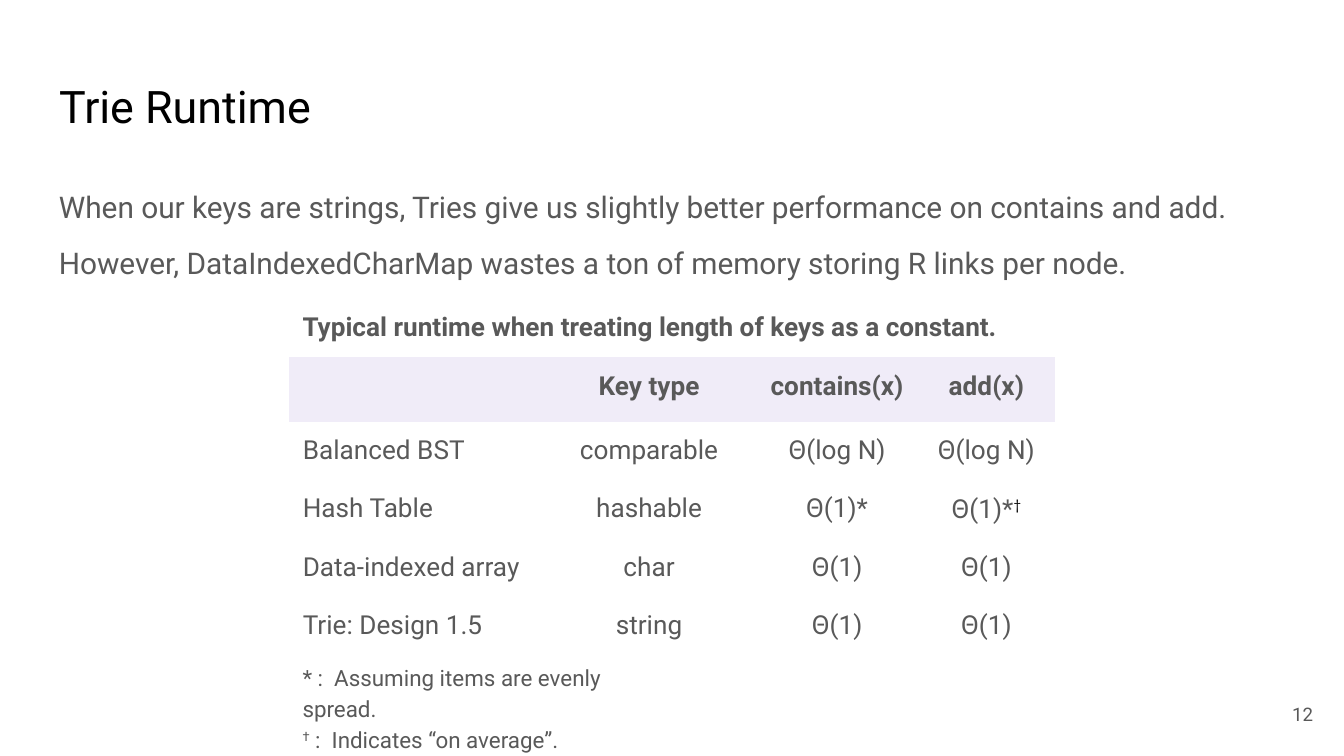
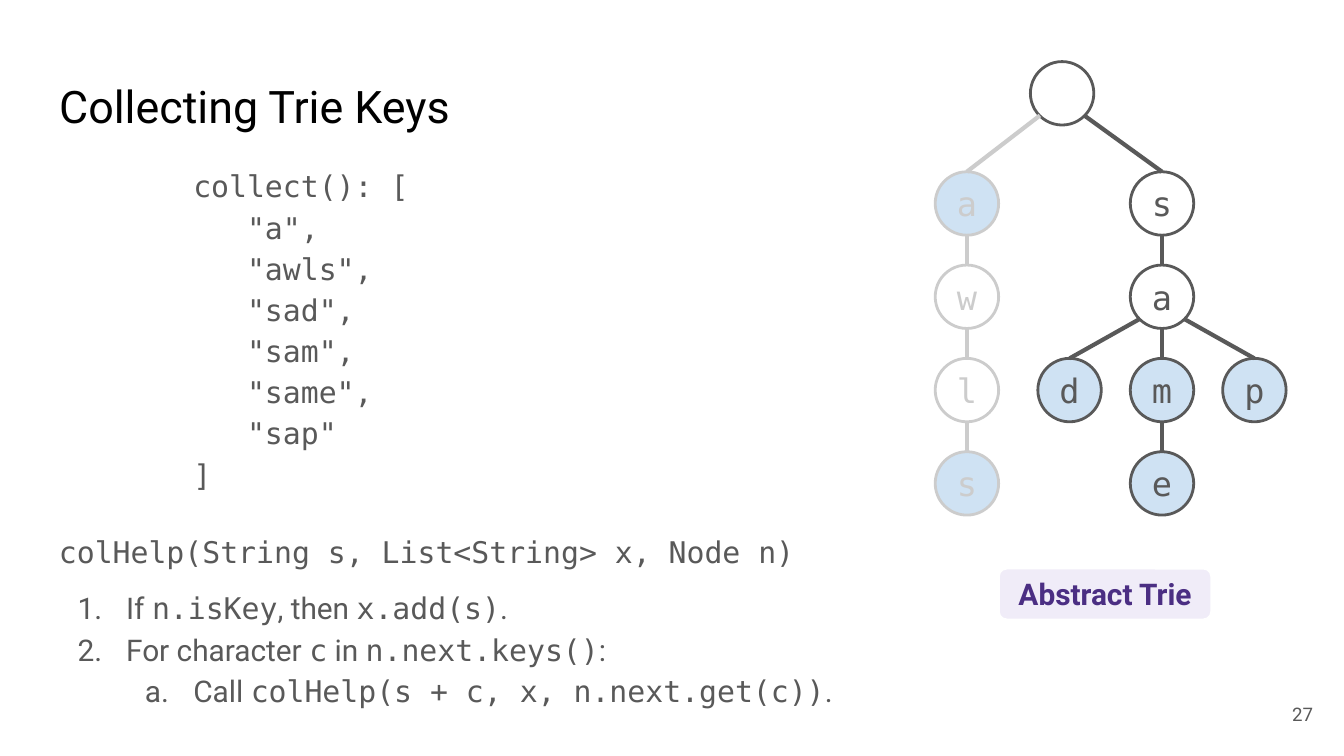
import copy

import pptx
import pptx.dml.color
import pptx.enum.shapes
import pptx.enum.text
import pptx.oxml
import pptx.oxml.ns
import pptx.util
from lxml import etree

Pt = pptx.util.Pt
RGBColor = pptx.dml.color.RGBColor
qn = pptx.oxml.ns.qn
SHAPE = pptx.enum.shapes.MSO_SHAPE
ALIGN = pptx.enum.text.PP_ALIGN
ANCHOR = pptx.enum.text.MSO_ANCHOR

BLACK = RGBColor(0x00, 0x00, 0x00)
WHITE = RGBColor(0xFF, 0xFF, 0xFF)
GRAY = RGBColor(0x59, 0x59, 0x59)
FADED = RGBColor(0xCC, 0xCC, 0xCC)
LILAC = RGBColor(0xF0, 0xEC, 0xF8)
PURPLE = RGBColor(0x4B, 0x2E, 0x83)
KEY_BLUE = RGBColor(0xCF, 0xE2, 0xF3)

INSET = Pt(7.2)
NO_GRID = "{2D5ABB26-0587-4C30-8999-92F81FD0307C}"
SANS = {"name": "Roboto", "size": Pt(16), "color": GRAY}
MONO = {**SANS, "name": "DejaVu Sans Mono"}
TITLE = {**SANS, "size": Pt(24), "color": BLACK}
NUMBER = {**SANS, "size": Pt(10)}
CELL = {**SANS, "size": Pt(14)}
NOTE = {**SANS, "size": Pt(12)}
HEAD = {**CELL, "bold": True}
DAGGER = {**CELL, "name": "Calibri", "color": BLACK, "baseline": 30000}
BADGE = {**SANS, "bold": True, "color": PURPLE}
SPACED = {"line_spacing": 1.15}
CENTER = {"alignment": ALIGN.CENTER}


def apply(obj, values):
    """Set every attribute named in values."""
    for name, value in values.items():
        setattr(obj, name, value)


def style_run(r, font):
    """Format one run, with its colour and optional baseline shift."""
    apply(r.font, {k: v for k, v in font.items() if k not in ("color", "baseline")})
    r.font.color.rgb = font["color"]
    if "baseline" in font:
        r.font._element.set("baseline", str(font["baseline"]))


def add_runs(p, runs):
    """Add (text, font) runs to a paragraph, breaking at newlines."""
    for text, font in runs:
        for i, line in enumerate(text.split("\n")):
            if i:
                p.add_line_break()
            r = p.add_run()
            r.text = line
            style_run(r, font)
            if i:
                r._r.getprevious().append(copy.deepcopy(r.font._element))


def number(p, scheme, margin):
    """Give a paragraph a hanging automatic number."""
    pPr = p._p.get_or_add_pPr()
    pPr.set("marL", str(Pt(margin)))
    pPr.set("indent", str(Pt(-26)))
    color = etree.SubElement(pPr, qn("a:buClr"))
    etree.SubElement(color, qn("a:srgbClr")).set("val", str(GRAY))
    etree.SubElement(pPr, qn("a:buAutoNum")).set("type", scheme)


def write(tf, paragraphs, anchor=ANCHOR.TOP, inset=INSET):
    """Fill a text frame with (runs, paragraph format) pairs."""
    apply(tf, {"word_wrap": True, "vertical_anchor": anchor,
               "auto_size": pptx.enum.text.MSO_AUTO_SIZE.NONE,
               "margin_left": inset, "margin_right": inset,
               "margin_top": inset, "margin_bottom": inset})
    for i, (runs, fmt) in enumerate(paragraphs):
        p = tf.add_paragraph() if i else tf.paragraphs[0]
        fmt = dict(fmt)
        if "number" in fmt:
            number(p, *fmt.pop("number"))
        apply(p, fmt)
        add_runs(p, runs)


def add_text(s, box, paragraphs, **options):
    """Add a text box holding the paragraphs."""
    write(s.shapes.add_textbox(*map(Pt, box)).text_frame, paragraphs, **options)


def add_panel(s, kind, box, fill, line=None, width=0):
    """Add a flat preset shape."""
    sp = s.shapes.add_shape(kind, *map(Pt, box))
    sp.shadow.inherit = False
    sp.fill.solid()
    sp.fill.fore_color.rgb = fill
    if line is None:
        sp.line.fill.background()
    else:
        sp.line.color.rgb = line
        sp.line.width = Pt(width)
    return sp


def add_slide(prs, title, page):
    """Start a slide with its title and page number."""
    s = prs.slides.add_slide(prs.slide_layouts[5])
    sp = s.shapes.title
    apply(sp, {"left": Pt(24.5), "top": Pt(35), "width": Pt(671), "height": Pt(45)})
    write(sp.text_frame, [([(title, TITLE)], {"alignment": ALIGN.LEFT})])
    add_text(s, (667.5, 367, 43, 31), [([(page, NUMBER)], {"alignment": ALIGN.RIGHT})],
             anchor=ANCHOR.MIDDLE)
    return s


def runtime_table(s, box):
    """Draw the runtime comparison with its caption and footnotes."""
    left, top, width, height = box
    add_text(s, (left, top, width, 32),
             [([("Typical runtime when treating length of keys as a constant.", HEAD)], {})])
    rows = [("", "Key type", "contains(x)", "add(x)"),
            ("Balanced BST", "comparable", "Θ(log N)", "Θ(log N)"),
            ("Hash Table", "hashable", "Θ(1)*", "Θ(1)*†"),
            ("Data-indexed array", "char", "Θ(1)", "Θ(1)"),
            ("Trie: Design 1.5", "string", "Θ(1)", "Θ(1)")]
    widths = (135, 115.5, 86, 74)
    heights = (34, 31, 31, 31, 31)
    frame = s.shapes.add_table(len(rows), len(widths), Pt(left), Pt(top + 32.5),
                               Pt(sum(widths)), Pt(sum(heights)))
    table = frame.table
    apply(table, {"first_row": False, "horz_banding": False})
    table._tbl.tblPr.find(qn("a:tableStyleId")).text = NO_GRID
    for column, w in zip(table.columns, widths):
        column.width = Pt(w)
    for row, h in zip(table.rows, heights):
        row.height = Pt(h)
    for i, row in enumerate(rows):
        for j, text in enumerate(row):
            fill_cell(table.cell(i, j), text, i == 0, j > 0)
    add_text(s, (left, top + height - 43, 216, 43),
             [([("* :  Assuming items are evenly spread.", NOTE)], SPACED),
              ([("†", {**NOTE, "baseline": 30000}), (" :  Indicates “on average”.", NOTE)],
               SPACED)])


def fill_cell(cell, text, header, centered):
    """Fill and format one table cell."""
    cell.fill.solid()
    cell.fill.fore_color.rgb = LILAC if header else WHITE
    apply(cell, {"margin_left": INSET, "margin_right": INSET,
                 "margin_top": INSET, "margin_bottom": INSET})
    p = cell.text_frame.paragraphs[0]
    apply(p, CENTER if centered else {})
    runs = [(text.rstrip("†"), HEAD if header else CELL)]
    if text.endswith("†"):
        runs.append(("†", DAGGER))
    add_runs(p, runs)


def trie(s, box):
    """Draw the trie, with the visited branch faded."""
    left, top, size = box
    stem, fork, root = 104.5, 49.5, 51
    nodes = [("", root, 0, False, GRAY, None),
             ("a", 0, 59, True, FADED, 0), ("w", 0, 109, False, FADED, 1),
             ("l", 0, 159, False, FADED, 2), ("s", 0, 209, True, FADED, 3),
             ("s", stem, 59, False, GRAY, 0), ("a", stem, 109, False, GRAY, 5),
             ("d", stem - fork, 159, True, GRAY, 6), ("m", stem, 159, True, GRAY, 6),
             ("p", stem + fork, 159, True, GRAY, 6), ("e", stem, 209, True, GRAY, 8)]
    for letter, x, y, is_key, color, parent in nodes:
        sp = add_panel(s, SHAPE.OVAL, (left + x, top + y, size, size),
                       KEY_BLUE if is_key else WHITE, color, 1.5)
        if letter:
            font = {**MONO, "size": Pt(18), "color": color}
            write(sp.text_frame, [([(letter, font)], CENTER)],
                  anchor=ANCHOR.MIDDLE, inset=0)
        if parent is not None:
            trie_edge(s, (left, top, size), nodes[parent][1:3], (x, y), color)


def trie_edge(s, box, parent, child, color):
    """Join a parent's lower rim to the top of its child."""
    left, top, size = box
    (px, py), (cx, cy) = parent, child
    side = (cx > px) - (cx < px)
    drop = size * 0.85 if side else size
    points = (left + px + size / 2 + side * size * 0.35, top + py + drop,
              left + cx + size / 2, top + cy)
    line = s.shapes.add_connector(pptx.enum.shapes.MSO_CONNECTOR.STRAIGHT,
                                  *map(Pt, points))
    line.line.color.rgb = color
    line.line.width = Pt(2.25)
    etree.SubElement(line._element.spPr, qn("a:effectLst"))


def badge(s, box, text):
    """Draw a rounded label."""
    sp = add_panel(s, SHAPE.ROUNDED_RECTANGLE, box, LILAC, WHITE, 2.25)
    write(sp.text_frame, [([(text, BADGE)], CENTER)], anchor=ANCHOR.MIDDLE)


def collected_keys(s, box):
    """Show the result of collect()."""
    keys = ",\n".join(f'   "{key}"' for key in ("a", "awls", "sad", "sam", "same", "sap"))
    sp = add_panel(s, SHAPE.RECTANGLE, box, WHITE)
    write(sp.text_frame, [([(f"collect(): [\n{keys}\n]", MONO)],
                           {**SPACED, "alignment": ALIGN.LEFT, "space_after": Pt(8)})])


def helper_steps(s, box):
    """List the steps of colHelp."""
    step = {**SPACED, "number": ("arabicPeriod", 36)}
    substep = {**SPACED, "level": 1, "number": ("alphaLcPeriod", 72)}
    add_text(s, box, [
        ([("colHelp(String s, List<String> x, Node n)", MONO)], SPACED),
        ([("If ", SANS), ("n.isKey", MONO), (", then ", SANS), ("x.add(s)", MONO),
          (".", SANS)], {**step, "space_before": Pt(8)}),
        ([("For character ", SANS), ("c", MONO), (" in ", SANS),
          ("n.next.keys()", MONO), (":", SANS)], step),
        ([("Call ", SANS), ("colHelp(s + c, x, n.next.get(c))", MONO), (".", SANS)],
         substep)])


def runtime_slide(prs):
    """Build the trie runtime slide."""
    s = add_slide(prs, "Trie Runtime", "12")
    add_text(s, (24.5, 91, 671, 65), [
        ([("When our keys are strings, Tries give us slightly better performance "
           "on contains and add.", SANS)], SPACED),
        ([("However, DataIndexedCharMap wastes a ton of memory storing R links "
           "per node.", SANS)],
         {**SPACED, "space_before": Pt(8), "space_after": Pt(8)})])
    runtime_table(s, (155, 159, 410.5, 230.5))


def collecting_slide(prs):
    """Build the key collection slide."""
    s = add_slide(prs, "Collecting Trie Keys", "27")
    helper_steps(s, (24.5, 276, 671, 84))
    trie(s, (501, 33, 34))
    badge(s, (534.5, 304, 115, 28.5), "Abstract Trie")
    collected_keys(s, (96.5, 80, 144, 187))


def main():
    """Build and save the slides."""
    prs = pptx.Presentation()
    apply(prs, {"slide_width": Pt(720), "slide_height": Pt(405)})
    runtime_slide(prs)
    collecting_slide(prs)
    prs.save("out.pptx")


if __name__ == "__main__":
    main()
